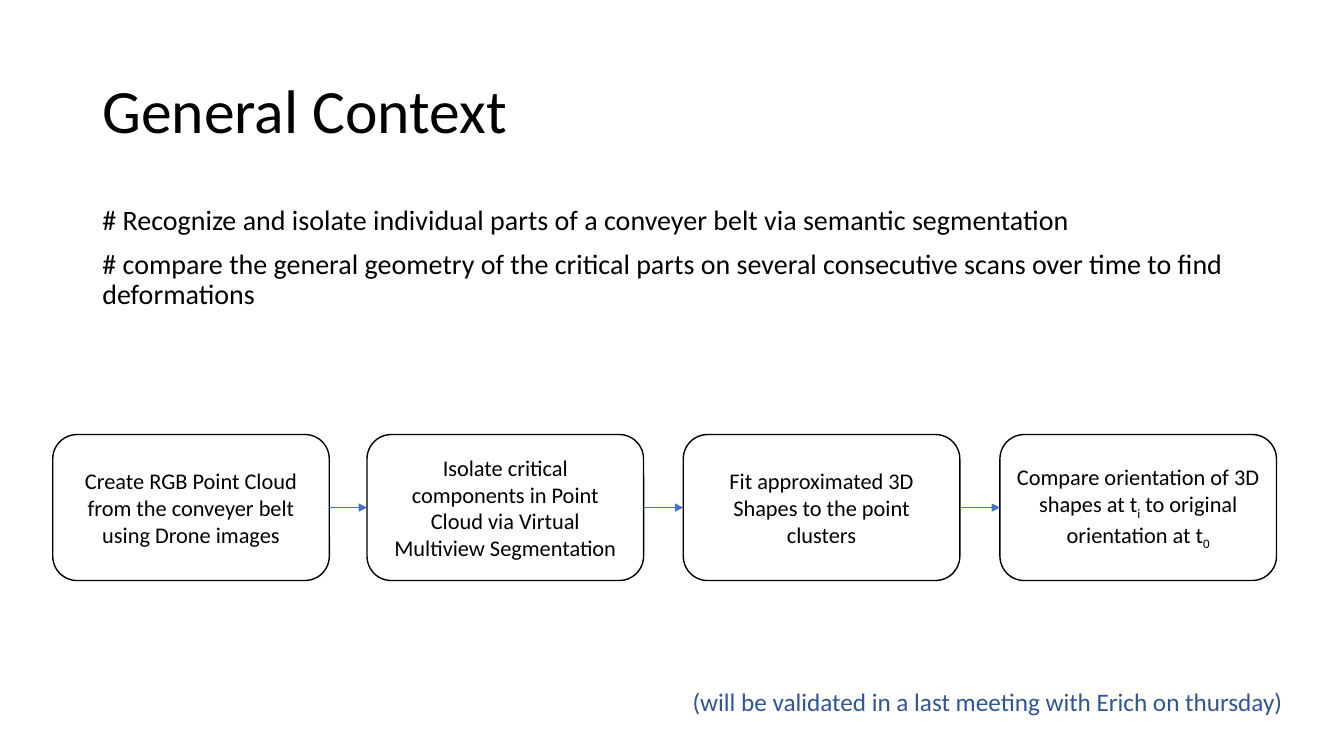
"""Build the General Context slide with its four-step process."""
import itertools

import lxml.etree
import pptx
import pptx.dml.color
import pptx.enum.shapes
import pptx.enum.text
import pptx.oxml.ns
import pptx.util
from pptx.util import Cm

ALIGN = pptx.enum.text.PP_ALIGN
ANCHOR = pptx.enum.text.MSO_ANCHOR
BLACK, ARROW_BLUE, NOTE_BLUE = "000000", "4472C4", "2F5597"

GOALS = [
    "# Recognize and isolate individual parts of a conveyer belt via semantic segmentation",
    "# compare the general geometry of the critical parts on several consecutive scans"
    " over time to find deformations",
]
STEPS = [
    (0, ["Create RGB Point Cloud from the conveyer belt using Drone images"]),
    (7.92, ["Isolate critical components in Point Cloud via Virtual Multiview Segmentation"]),
    (15.89, ["Fit approximated 3D Shapes to the point clusters"]),
    (23.87, ["Compare orientation of 3D shapes at t", "i",
             " to original orientation at t", "0"]),
]


def color(value):
    """Return the color for a hex string."""
    return pptx.dml.color.RGBColor.from_string(value)


def style_paragraph(paragraph, size, ink=BLACK, align=ALIGN.LEFT):
    """Set the font and alignment of a paragraph."""
    paragraph.alignment = align
    paragraph.font.name = "Calibri"
    paragraph.font.size = pptx.util.Pt(size)
    paragraph.font.color.rgb = color(ink)


def add_text(slide, box, lines, size, ink=BLACK, align=ALIGN.LEFT,
             anchor=ANCHOR.TOP, line_spacing=1.0):
    """Place a wrapped text box with one paragraph per line."""
    frame = slide.shapes.add_textbox(*box).text_frame
    frame.word_wrap = True
    frame.vertical_anchor = anchor
    for index, line in enumerate(lines):
        paragraph = frame.add_paragraph() if index else frame.paragraphs[0]
        paragraph.text = line
        paragraph.line_spacing = line_spacing
        paragraph.space_before = pptx.util.Pt(10 if index else 0)
        style_paragraph(paragraph, size, ink, align)


def add_step(slide, box, parts):
    """Place a rounded step whose every second text part is a subscript."""
    step = slide.shapes.add_shape(
        pptx.enum.shapes.MSO_SHAPE.ROUNDED_RECTANGLE, *box)
    step.shadow.inherit = False
    step.fill.background()
    step.line.color.rgb = color(BLACK)
    step.line.width = pptx.util.Pt(1)
    step.text_frame.word_wrap = True
    step.text_frame.vertical_anchor = ANCHOR.MIDDLE
    paragraph = step.text_frame.paragraphs[0]
    style_paragraph(paragraph, 16, align=ALIGN.CENTER)
    for index, part in enumerate(parts):
        run = paragraph.add_run()
        run.text = part
        if index % 2:
            run._r.get_or_add_rPr().set("baseline", "-25000")
    return step


def add_arrow(slide, source, target):
    """Connect the right side of one step to the left side of the next."""
    arrow = slide.shapes.add_connector(
        pptx.enum.shapes.MSO_CONNECTOR.STRAIGHT, 0, 0, 0, 0)
    arrow.begin_connect(source, 3)
    arrow.end_connect(target, 1)
    arrow.line.color.rgb = color(ARROW_BLUE)
    arrow.line.width = pptx.util.Pt(0.5)
    qualified = pptx.oxml.ns.qn
    lxml.etree.SubElement(
        arrow.line._get_or_add_ln(), qualified("a:tailEnd"), type="triangle")
    lxml.etree.SubElement(arrow._element.spPr, qualified("a:effectLst"))


def add_process(slide, left, top, step_width, step_height):
    """Place the steps at their offsets and link them with arrows."""
    steps = [
        add_step(slide, (left + Cm(offset), top, step_width, step_height), parts)
        for offset, parts in STEPS
    ]
    for source, target in itertools.pairwise(steps):
        add_arrow(slide, source, target)


def main():
    """Create the presentation and save it."""
    presentation = pptx.Presentation()
    presentation.slide_width = Cm(33.87)
    presentation.slide_height = Cm(19.05)
    slide = presentation.slides.add_slide(presentation.slide_layouts[6])
    add_text(slide, (Cm(2.33), Cm(1.01), Cm(29.21), Cm(3.68)), ["General Context"],
             44, anchor=ANCHOR.MIDDLE, line_spacing=0.9)
    add_text(slide, (Cm(2.33), Cm(5.07), Cm(29.21), Cm(12.09)), GOALS, 20,
             line_spacing=0.9)
    add_process(slide, Cm(1.33), Cm(10.95), Cm(6.97), Cm(3.68))
    add_text(slide, (Cm(15.82), Cm(17.17), Cm(16.76), Cm(1.03)),
             ["(will be validated in a last meeting with Erich on thursday)"],
             18, NOTE_BLUE, ALIGN.RIGHT)
    presentation.save("out.pptx")


if __name__ == "__main__":
    main()
